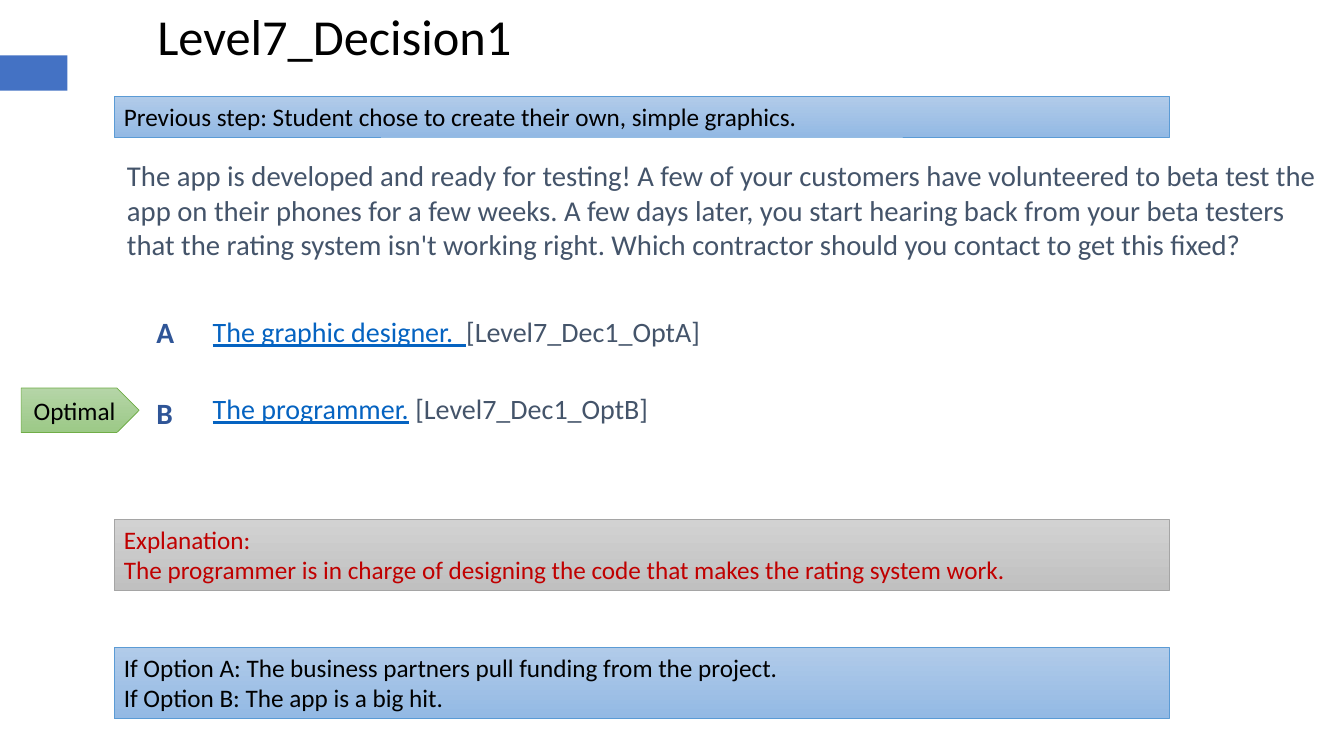
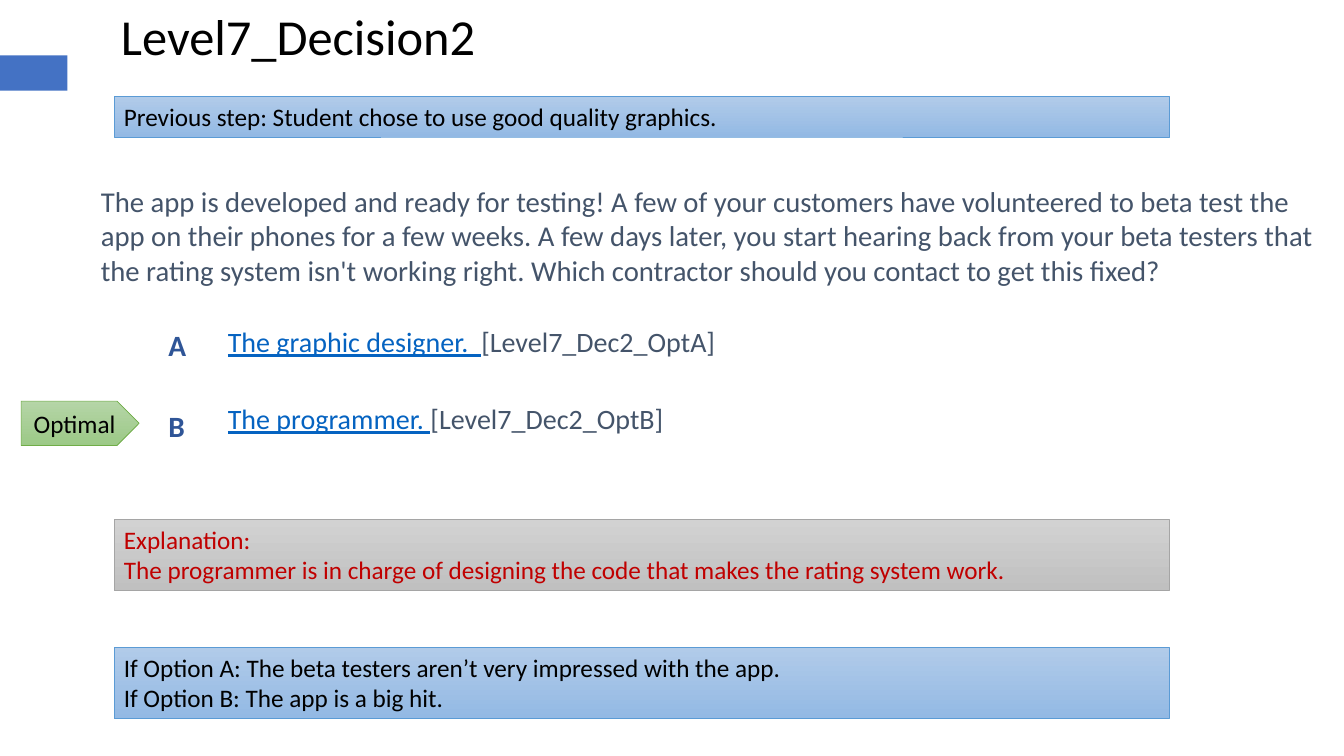
from pptx import Presentation
from pptx import util as u
from pptx.dml.color import RGBColor
from pptx.enum import shapes, text

PX = 9144  # EMU in one px, 100 px to the inch
COLOURS = {
    "bar": "4472C4", "black": "000000", "slate": "44546A",
    "link": "0563C1", "letter": "2F5597", "red": "C00000",
}
# Gradient top, gradient bottom, outline
FILLS = {
    "blue": ("B1CBE9", "93B9E4", "5B9BD5"),
    "grey": ("D2D2D2", "C0C0C0", "A5A5A5"),
    "green": ("B5D5A7", "9CC987", "70AD47"),
}
STYLES = {
    "title": {"size": u.Pt(36), "colour": "black"},
    "story": {"size": u.Pt(20.5), "colour": "slate"},
    "link": {"size": u.Pt(20), "colour": "link", "underline": True},
    "target": {"size": u.Pt(20), "colour": "slate"},
    "letter": {"size": u.Pt(21), "colour": "letter", "bold": True},
    "note": {"size": u.Pt(18), "colour": "black"},
    "warning": {"size": u.Pt(18), "colour": "red"},
}
BAND_LEFT, BAND_WIDTH = 113, 1047
OPTION_PITCH = 80
STORY = (
    "The app is developed and ready for testing! A few of your customers have "
    "volunteered to beta test the app on their phones for a few weeks. A few days "
    "later, you start hearing back from your beta testers that the rating system "
    "isn't working right. Which contractor should you contact to get this fixed?"
)
EXPLANATION = [
    "Explanation:",
    "The programmer is in charge of designing the code that makes the rating system work.",
]
DECISIONS = [
    {
        "title": "Level7_Decision1", "title_left": 146,
        "previous": "Previous step: Student chose to create their own, simple graphics.",
        "story_at": (113, 150, 1220, 148),
        "options_at": (198, 305, 937, 152),
        "options": [("The graphic designer.  ", "[Level7_Dec1_OptA]"),
                    ("The programmer.", " [Level7_Dec1_OptB]")],
        "letters_at": (142, 305),
        "outcome": "If Option A: The business partners pull funding from the project.",
    },
    {
        "title": "Level7_Decision2", "title_left": 110,
        "previous": "Previous step: Student chose to use good quality graphics.",
        "story_at": (87, 175, 1246, 311),
        "options_at": (213, 315, 934, 171),
        "options": [("The graphic designer.  ", "[Level7_Dec2_OptA]"),
                    ("The programmer. ", "[Level7_Dec2_OptB]")],
        "letters_at": (154, 318),
        "outcome": "If Option A: The beta testers aren’t very impressed with the app.",
    },
]


def rgb(name):
    return RGBColor.from_string(COLOURS.get(name, name))


def emu(*lengths):
    return [u.Emu(length * PX) for length in lengths]


def write(frame, paragraphs, align=text.PP_ALIGN.LEFT, gap=0):
    """Fill a frame with paragraphs, each a list of (wording, style name)."""
    for index, spans in enumerate(paragraphs):
        para = frame.add_paragraph() if index else frame.paragraphs[0]
        para.alignment = align
        if index:
            para.space_before = u.Pt(gap)
        for wording, style in spans:
            span = para.add_run()
            span.text = wording
            span.font.name = "Calibri"
            for key, value in STYLES[style].items():
                if key == "colour":
                    span.font.color.rgb = rgb(value)
                else:
                    setattr(span.font, key, value)


def add_text(page, at, paragraphs, gap=0):
    frame = page.shapes.add_textbox(*emu(*at)).text_frame
    frame.word_wrap = True
    frame.margin_left, frame.margin_right = emu(13, 13)
    frame.margin_top, frame.margin_bottom = emu(7, 7)
    write(frame, paragraphs, gap=gap)


def add_panel(page, preset, at, fill):
    """Add a shape with a vertical gradient and a thin outline."""
    panel = page.shapes.add_shape(preset, *emu(*at))
    panel.shadow.inherit = False
    *stops, outline = FILLS[fill]
    panel.fill.gradient()
    panel.fill.gradient_angle = 270
    for stop, colour in zip(panel.fill.gradient_stops, stops):
        stop.color.rgb = rgb(colour)
    panel.line.color.rgb = rgb(outline)
    panel.line.width = u.Pt(0.5)
    return panel.text_frame


def add_band(page, top, height, fill, lines, style="note"):
    frame = add_panel(page, shapes.MSO_SHAPE.RECTANGLE,
                      (BAND_LEFT, top, BAND_WIDTH, height), fill)
    frame.word_wrap = True
    frame.vertical_anchor = text.MSO_ANCHOR.TOP
    write(frame, [[(line, style)] for line in lines])


def add_optimal_tag(page, top):
    frame = add_panel(page, shapes.MSO_SHAPE.PENTAGON, (21, top, 117, 44), "green")
    frame.vertical_anchor = text.MSO_ANCHOR.MIDDLE
    write(frame, [[("Optimal", "note")]], text.PP_ALIGN.CENTER)


def set_title(page, left, wording):
    title = page.shapes.title
    title.left, title.top, title.width, title.height = emu(left, 0, 372, 71)
    frame = title.text_frame
    frame.word_wrap = False
    frame.auto_size = text.MSO_AUTO_SIZE.SHAPE_TO_FIT_TEXT
    frame.vertical_anchor = text.MSO_ANCHOR.TOP
    write(frame, [[(wording, "title")]])


def add_layout_bar(layout, page):
    """Keep only the title on the layout and give it the bar at the left edge."""
    for holder in list(layout.placeholders):
        if holder.placeholder_format.type != shapes.PP_PLACEHOLDER.TITLE:
            layout.shapes.element.remove(holder.element)
    bar = page.shapes.add_shape(shapes.MSO_SHAPE.RECTANGLE, *emu(0, 55, 67, 35))
    bar.shadow.inherit = False
    bar.fill.solid()
    bar.fill.fore_color.rgb = rgb("bar")
    bar.line.fill.background()
    layout.shapes.element.append(bar.element)


def fill_page(page, decision):
    set_title(page, decision["title_left"], decision["title"])
    add_text(page, decision["story_at"], [[(STORY, "story")]])
    options = [[(link, "link"), (target, "target")]
               for link, target in decision["options"]]
    add_text(page, decision["options_at"], options, gap=31)
    left, top = decision["letters_at"]
    for index, letter in enumerate("AB"):
        add_text(page, (left, top + index * OPTION_PITCH, 69, 44), [[(letter, "letter")]])
    add_band(page, 96, 40, "blue", [decision["previous"]])
    add_band(page, 515, 71, "grey", EXPLANATION, "warning")
    add_band(page, 642, 71, "blue",
             [decision["outcome"], "If Option B: The app is a big hit."])
    add_optimal_tag(page, top + OPTION_PITCH)


def main():
    deck = Presentation()
    deck.slide_width, deck.slide_height = emu(1333, 750)
    layout = deck.slide_layouts.get_by_name("Title Only")
    pages = [deck.slides.add_slide(layout) for _ in DECISIONS]
    add_layout_bar(layout, pages[0])
    for page, decision in zip(pages, DECISIONS):
        fill_page(page, decision)
    deck.save("out.pptx")


if __name__ == "__main__":
    main()
